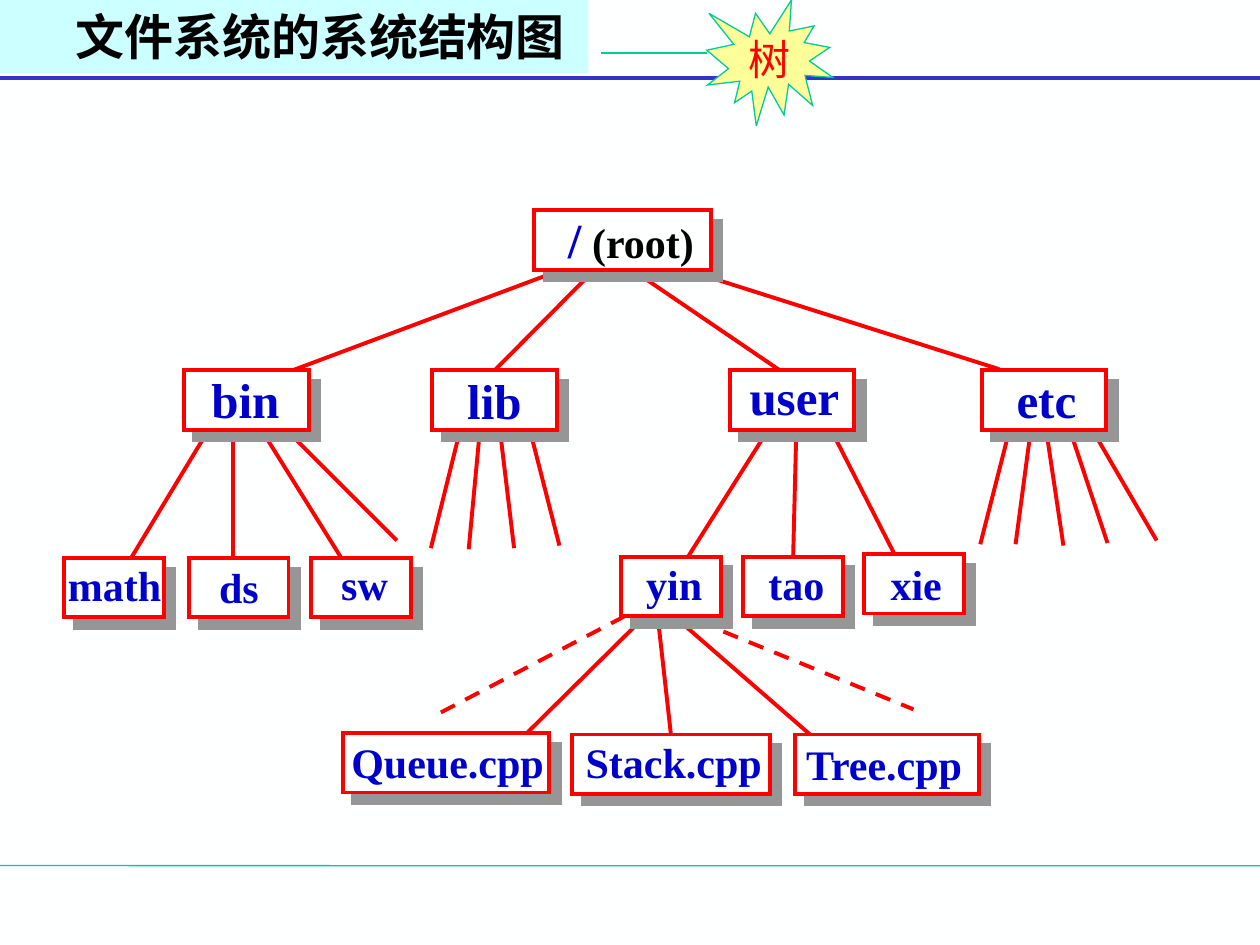
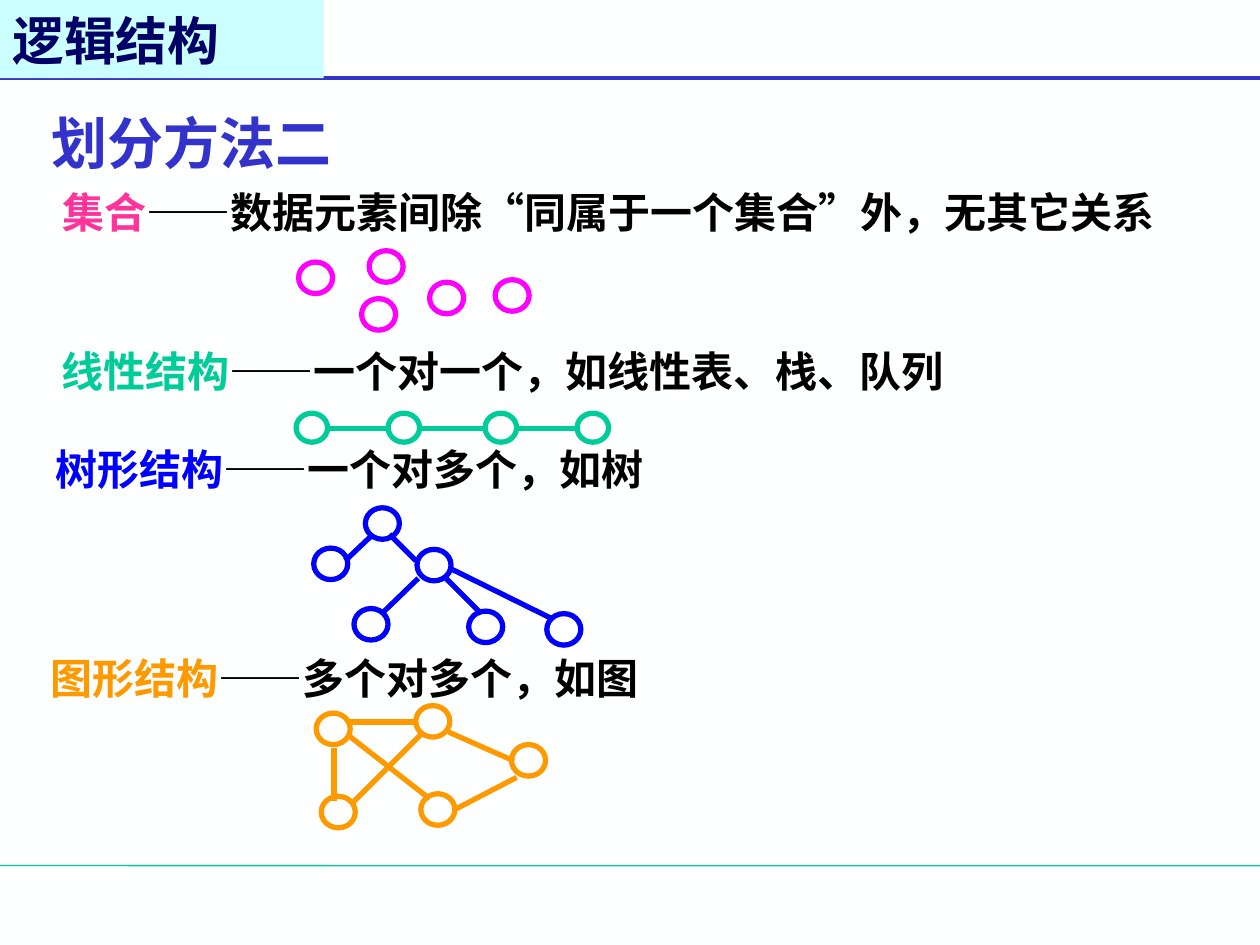
from dataclasses import dataclass
from typing import NamedTuple

from lxml.etree import SubElement
from pptx import Presentation
from pptx.dml.color import RGBColor
from pptx.enum.dml import MSO_LINE
from pptx.enum.shapes import MSO_CONNECTOR, MSO_SHAPE
from pptx.enum.text import MSO_ANCHOR, MSO_AUTO_SIZE, PP_ALIGN
from pptx.oxml.ns import qn
from pptx.util import Inches, Pt

COLS, ROWS = 100, 75
WIDTH, HEIGHT = Inches(10), Inches(7.5)
SERIF, SANS = "Times New Roman", "Noto Sans CJK SC"
COLORS = {
    "paper": "FEFFFF", "band": "CCFFFF", "rule": "3333CC", "green": "00CC99",
    "red": "FF0000", "label": "0000CC", "shadow": "969696", "black": "000000",
    "star": "FFFF99", "navy": "000066", "pink": "FF3399", "magenta": "FF00FF",
    "blue": "0000FF", "orange": "FF9900",
}
NODE_HEIGHT = 4.7


class Edge(NamedTuple):
    x1: float
    y1: float
    x2: float
    y2: float
    dash: bool = False
    end: str = ""


@dataclass
class Node:
    name: str
    x: float
    y: float
    w: float
    label_x: float
    label_y: float
    label_w: float
    size: float = 24
    suffix: str = ""


@dataclass
class Structure:
    name: str
    meaning: str
    color: str
    ink: str
    x: float
    y: float
    w: float
    ring: tuple[float, float]
    rings: list[tuple[float, float]]
    edges: list[Edge]


TREE_NODES = [
    Node("/", 42.4, 16.7, 14, 44.1, 16.1, 12, 28, " (root)"),
    Node("bin", 14.6, 29.4, 9.9, 15.8, 28.8, 7.4, 28),
    Node("lib", 34.3, 29.4, 9.9, 36.1, 28.9, 6.3, 28),
    Node("user", 57.9, 29.4, 9.9, 58.5, 28.6, 9.1, 28),
    Node("etc", 77.9, 29.4, 9.9, 79.7, 28.8, 6.7, 28),
    Node("math", 5.1, 44.3, 7.9, 4.4, 43.9, 9.4),
    Node("ds", 15, 44.3, 7.9, 16.4, 44.1, 5.1),
    Node("sw", 24.7, 44.3, 7.9, 26.1, 43.8, 5.7),
    Node("tao", 59, 44.2, 7.9, 60, 43.8, 6.4),
    Node("yin", 49.3, 44.2, 7.9, 50.3, 43.8, 6.4),
    Node("xie", 68.6, 44, 7.9, 69.7, 43.8, 6),
    Node("Stack.cpp", 45.4, 58.3, 15.7, 45.5, 58, 16),
    Node("Tree.cpp", 63.1, 58.3, 14.6, 63, 58.1, 14.7),
    Node("Queue.cpp", 27.2, 58.2, 16.4, 26.9, 58, 17.3),
]

TREE_EDGES = [
    Edge(55.4, 49.3, 72.5, 56.3, True),
    Edge(49.6, 48.9, 34.7, 56.7, True),
    Edge(53.6, 49, 64.3, 58.3),
    Edge(51.3, 48.8, 41.9, 58.1),
    Edge(52.2, 48.9, 53.2, 58.2, end="Stack.cpp"),
    Edge(86.8, 34.3, 91.8, 42.9),
    Edge(85, 34.4, 87.9, 43.1),
    Edge(83.1, 34.6, 84.4, 43.3),
    Edge(80.1, 34.2, 77.8, 43.2),
    Edge(81.8, 34.2, 80.6, 43.2),
    Edge(66, 34.2, 71, 44),
    Edge(61.1, 33.9, 54.6, 44.2),
    Edge(63.2, 34.2, 62.9, 44, end="tao"),
    Edge(42.1, 34.3, 44.4, 43.3),
    Edge(39.7, 34.3, 40.8, 43.5),
    Edge(38.1, 34, 37.2, 43.6),
    Edge(36.5, 34.2, 34.2, 43.5),
    Edge(22.8, 34.2, 31.5, 42.9),
    Edge(20.8, 34.2, 27.1, 44.3),
    Edge(18.5, 34.2, 18.5, 44.3),
    Edge(16.5, 34.2, 10.4, 44.3),
    Edge(54.7, 21.5, 79.3, 29.3),
    Edge(50.3, 21.5, 62.2, 29.6),
    Edge(47.2, 21.4, 39.3, 29.3, end="lib"),
    Edge(44.6, 21.4, 23.2, 29.4),
]

STRUCTURES = [
    Structure("集合", "——数据元素间除“同属于一个集合”外，无其它关系",
              "pink", "magenta", 4, 14.3, 88.6, (2.7, 2.5),
              [(23.7, 20.8), (29.3, 19.9), (28.7, 23.7), (34.1, 22.4), (39.3, 22.2)], []),
    Structure("线性结构", "——一个对一个，如线性表、栈、队列",
              "green", "green", 3.9, 26.9, 72, (2.5, 2.3),
              [(x, 32.8) for x in (23.5, 30.8, 38.5, 45.8)],
              [Edge(a, 34, b, 34) for a, b in ((26, 30.6), (33.2, 38.6), (41.2, 45.7))]),
    Structure("树形结构", "——一个对多个，如树",
              "blue", "blue", 3.4, 34.7, 48.6, (2.7, 2.5),
              [(29, 40.3), (24.9, 43.5), (33.1, 43.6), (28.1, 48.3), (37.2, 48.5), (43.4, 48.7)],
              [Edge(29.4, 42.6, 27.4, 44.5), Edge(33.2, 45.9, 30.3, 48.7),
               Edge(30.9, 42.4, 33, 44.5), Edge(35.2, 45.7, 38.2, 48.7),
               Edge(35.7, 45.1, 43.8, 49.1)]),
    Structure("图形结构", "——多个对多个，如图",
              "orange", "orange", 3, 51.3, 48.6, (2.7, 2.5),
              [(33, 56), (25.5, 63.2), (33.4, 63), (40.6, 59.1), (25.1, 56.6)],
              [Edge(26.5, 59.4, 26.5, 63.6), Edge(27.7, 58.4, 34.1, 63.4),
               Edge(35.6, 58.1, 40.8, 60.4), Edge(33.5, 58.2, 27.9, 63.8),
               Edge(41, 61.7, 36.2, 64.2), Edge(27.7, 57.3, 33.1, 57.3)]),
]


def col(n: float) -> int:
    return round(WIDTH * n / COLS)


def row(n: float) -> int:
    return round(HEIGHT * n / ROWS)


def rgb(name: str) -> RGBColor:
    return RGBColor.from_string(COLORS[name])


def write(tf, text: str, *, size: float, color: str, font: str = SERIF,
          bold: bool = True, align=None) -> None:
    p = tf.paragraphs[0]
    if align is not None:
        p.alignment = align
    r = p.add_run()
    r.text = text
    r.font.size, r.font.name, r.font.bold = Pt(size), font, bold
    r.font.color.rgb = rgb(color)
    SubElement(r.font._element, qn("a:ea")).set("typeface", SANS)


def add_label(shapes, x: float, y: float, w: float, h: float):
    tf = shapes.add_textbox(col(x), row(y), col(w), row(h)).text_frame
    tf.word_wrap = True
    tf.auto_size = MSO_AUTO_SIZE.NONE
    tf.margin_right = 0
    return tf


def add_box(shapes, kind, x: float, y: float, w: float, h: float, *,
            fill: str = "", line: str = "", weight: float = 2.25):
    sp = shapes.add_shape(kind, col(x), row(y), col(w), row(h))
    sp.shadow.inherit = False
    if fill:
        sp.fill.solid()
        sp.fill.fore_color.rgb = rgb(fill)
    else:
        sp.fill.background()
    if line:
        sp.line.color.rgb = rgb(line)
        sp.line.width = Pt(weight)
        SubElement(sp._element.spPr.find(qn("a:ln")), qn("a:miter"), lim="800000")
    else:
        sp.line.fill.background()
    return sp


def add_line(shapes, edge: Edge, color: str, weight: float):
    cx = shapes.add_connector(MSO_CONNECTOR.STRAIGHT, col(edge.x1), row(edge.y1),
                              col(edge.x2), row(edge.y2))
    cx.line.color.rgb = rgb(color)
    cx.line.width = Pt(weight)
    if edge.dash:
        cx.line.dash_style = MSO_LINE.DASH
    SubElement(cx._element.spPr, qn("a:effectLst"))
    return cx


def add_hard_shadow(sp) -> None:
    effects = sp._element.spPr.find(qn("a:effectLst"))
    shadow = SubElement(effects, qn("a:outerShdw"), blurRad="0", dist=str(Pt(8.5)),
                        dir=str(45 * 60000), algn="ctr", rotWithShape="0")
    SubElement(shadow, qn("a:srgbClr"), val=COLORS["shadow"])


def add_node(shapes, node: Node):
    sp = add_box(shapes, MSO_SHAPE.RECTANGLE, node.x, node.y, node.w, NODE_HEIGHT,
                 fill="paper", line="red")
    add_hard_shadow(sp)
    return sp


def add_node_label(shapes, node: Node) -> None:
    tf = add_label(shapes, node.label_x, node.label_y, node.label_w,
                   5.7 if node.size == 28 else 5)
    write(tf, node.name, size=node.size, color="label")
    if node.suffix:
        write(tf, node.suffix, size=24, color="black")


def add_title(shapes, text: str, w: float, h: float, inset: float, anchor, **style) -> None:
    tf = add_box(shapes, MSO_SHAPE.RECTANGLE, 0, 0, w, h, fill="band").text_frame
    tf.word_wrap = True
    tf.vertical_anchor = anchor
    tf.margin_left = col(inset)
    write(tf, text, align=PP_ALIGN.LEFT, **style)


def add_slide(prs):
    s = prs.slides.add_slide(prs.slide_layouts[6])
    s.background.fill.solid()
    s.background.fill.fore_color.rgb = rgb("paper")
    add_line(s.shapes, Edge(0, 68.7, COLS, 68.72), "green", 0.75)
    add_line(s.shapes, Edge(0, 6.2, COLS, 6.2), "rule", 2.25)
    return s


def build_file_tree(prs) -> None:
    shapes = add_slide(prs).shapes
    lines = [add_line(shapes, edge, "red", 2.25) for edge in TREE_EDGES]
    boxes = {node.name: add_node(shapes, node) for node in TREE_NODES}
    for node in TREE_NODES:
        add_node_label(shapes, node)
    for edge, cx in zip(TREE_EDGES, lines):
        if edge.end:
            cx.end_connect(boxes[edge.end], 0)
    add_title(shapes, "文件系统的系统结构图", 46.7, 5.8, 6, MSO_ANCHOR.TOP,
              size=28, color="black")
    group = shapes.add_group_shape().shapes
    star = add_box(group, MSO_SHAPE.EXPLOSION1, 56.1, 0, 10, 10,
                   fill="star", line="green", weight=0.75)
    tf = star.text_frame
    tf.word_wrap = False
    tf.vertical_anchor = MSO_ANCHOR.MIDDLE
    write(tf, "树", size=24, color="red", bold=False, align=PP_ALIGN.CENTER)
    add_line(group, Edge(47.7, 4.2, 56.1, 4.2), "green", 0.75)


def build_structures(prs) -> None:
    shapes = add_slide(prs).shapes
    for item in STRUCTURES:
        group = shapes.add_group_shape().shapes
        for x, y in item.rings:
            add_box(group, MSO_SHAPE.OVAL, x, y, *item.ring, line=item.ink, weight=3)
        for edge in item.edges:
            add_line(group, edge, item.ink, 3)
    for item in STRUCTURES:
        tf = add_label(shapes, item.x, item.y, item.w, 5)
        write(tf, item.name, size=24, color=item.color, font=SANS)
        write(tf, item.meaning, size=24, color="black", font=SANS)
    add_title(shapes, "逻辑结构", 25.7, 6.2, 1, MSO_ANCHOR.BOTTOM,
              size=29.6, color="navy", font=SANS)
    shapes[-1].text_frame.paragraphs[0].line_spacing = 0.9
    write(add_label(shapes, 3.1, 8.1, 24.2, 6.4), "划分方法二",
          size=32, color="rule", font=SANS)


def main() -> None:
    prs = Presentation()
    prs.slide_width, prs.slide_height = WIDTH, HEIGHT
    build_file_tree(prs)
    build_structures(prs)
    prs.save("out.pptx")


if __name__ == "__main__":
    main()
